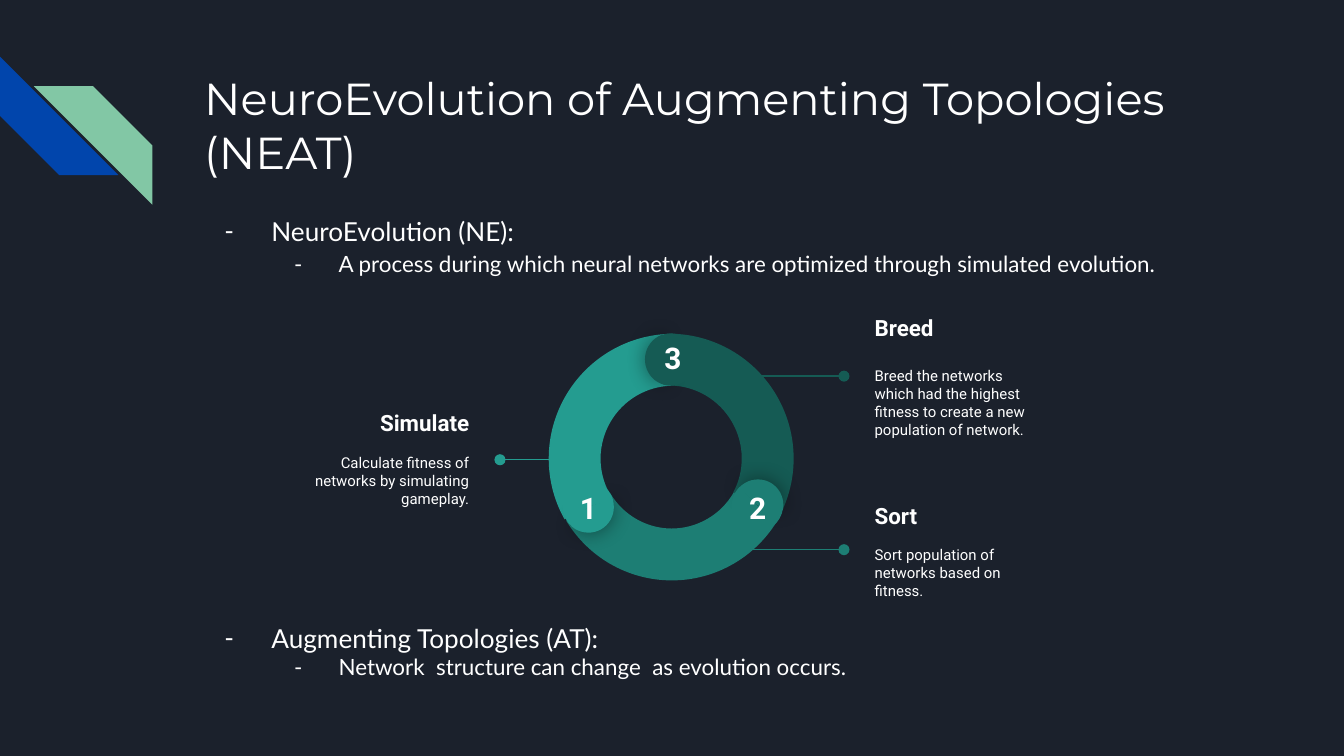
from dataclasses import dataclass

from lxml.etree import SubElement as Sub
from pptx import Presentation
from pptx.dml.color import RGBColor as Rgb
from pptx.enum.shapes import MSO_CONNECTOR as Wire, MSO_SHAPE as Form
from pptx.enum.text import MSO_ANCHOR as Anchor, MSO_AUTO_SIZE as Fit, PP_ALIGN as Align
from pptx.oxml.ns import qn
from pptx.util import Cm, Pt

WHITE = "FFFFFF"
INSET = 0.25
ARC = (126.2, 197.1, 0.21)
CAP_BACK = (61.9, 149.96)
CAP_FRONT = (40.28, 171.84)


@dataclass
class Box:
    x: float
    y: float
    w: float
    h: float

    def cm(self) -> tuple:
        return Cm(self.x), Cm(self.y), Cm(self.w), Cm(self.h)


@dataclass
class Stage:
    mark: str
    name: str
    text: str
    tint: str
    arc: Box
    turn: float
    cap: Box
    back: float
    front: float
    digit: tuple
    note: tuple
    line: tuple
    gap: float
    side: Align = Align.LEFT


@dataclass
class Point:
    y: float
    head: str
    sub: str
    space: float


STAGES = [
    Stage("3", "Breed",
          "Breed the networks which had the highest fitness to create a new population of network.",
          "155B54", Box(10.31, 6.32, 4.7, 4.67), 60, Box(12.19, 6.3, 0.97, 0.99), 0.7, 180,
          (12.29, 6.2), (16.28, 6.02), (13.77, 15.95, 7.11), 14),
    Stage("2", "Sort", "Sort population of networks based on fitness.",
          "1D7E74", Box(10.36, 6.27, 4.67, 4.7), 180, Box(13.82, 9.07, 0.99, 0.97), 120.7, 300,
          (13.89, 9.02), (16.28, 9.32), (13.77, 15.95, 10.39), 9.4),
    Stage("1", "Simulate", "Calculate fitness of networks by simulating gameplay.",
          "249C90", Box(10.36, 6.32, 4.7, 4.67), 300, Box(10.62, 9.09, 0.99, 0.97), 240.6, 60,
          (10.69, 9.02), (5.54, 7.57), (10.52, 9.45, 8.69), 9.4, Align.RIGHT),
]

POINTS = [
    Point(3.73, "NeuroEvolution (NE):",
          "A process during which neural networks are optimized through simulated evolution.", 1.15),
    Point(11.51, "Augmenting Topologies (AT):",
          "Network  structure can change  as evolution occurs.", 1.0),
]


def tone(code: str) -> Rgb:
    return Rgb.from_string(code)


def assign(item, values: dict) -> None:
    for key, value in values.items():
        setattr(item, key, value)


def frame(shape, anchor: Anchor = Anchor.TOP):
    body = shape.text_frame
    pad = {f"margin_{side}": Cm(INSET) for side in ("left", "right", "top", "bottom")}
    assign(body, {"word_wrap": True, "auto_size": Fit.NONE, "vertical_anchor": anchor, **pad})
    return body


def write(para, text: str, font: str, size: float, bold: bool = False, **style) -> None:
    run = para.add_run()
    run.text = text
    assign(run.font, {"name": font, "size": Pt(size), "bold": bold})
    run.font.color.rgb = tone(WHITE)
    assign(para, style)


def dash(para, left: float, hang: float) -> None:
    props = para._p.get_or_add_pPr()
    props.set("marL", str(Cm(left)))
    props.set("indent", str(Cm(-hang)))
    Sub(Sub(props, qn("a:buClr")), qn("a:srgbClr"), val=WHITE)
    Sub(props, qn("a:buFont"), typeface="Lato")
    Sub(props, qn("a:buChar"), char="-")


def draw(shapes, form: Form, box: Box, tint: str, turn: float, bends: tuple):
    shape = shapes.add_shape(form, *box.cm())
    shape.rotation = turn
    for i, bend in enumerate(bends):
        shape.adjustments[i] = bend
    shape.fill.solid()
    shape.fill.fore_color.rgb = tone(tint)
    shape.line.fill.background()
    shape.shadow.inherit = False
    return shape


def shade(shape) -> None:
    effects = shape._element.spPr.find(qn("a:effectLst"))
    glow = Sub(effects, qn("a:outerShdw"), blurRad=str(Pt(11.2)), dist="0", dir="0",
               algn="ctr", rotWithShape="0")
    Sub(Sub(glow, qn("a:srgbClr"), val="000000"), qn("a:alpha"), val="43000")


def link(shapes, stage: Stage) -> None:
    start, end, y = stage.line
    wire = shapes.add_connector(Wire.STRAIGHT, Cm(start), Cm(y), Cm(end), Cm(y))
    wire.line.color.rgb = tone(stage.tint)
    wire.line.width = Pt(0.75)
    props = wire._element.spPr
    Sub(props.find(qn("a:ln")), qn("a:tailEnd"), type="oval")
    Sub(props, qn("a:effectLst"))


def note(shapes, stage: Stage) -> None:
    body = frame(shapes.add_textbox(*Box(*stage.note, 3.58, 2.18).cm()), Anchor.MIDDLE)
    write(body.paragraphs[0], stage.name, "Roboto", 12, True, alignment=stage.side)
    write(body.add_paragraph(), stage.text, "Roboto", 8, alignment=stage.side,
          space_before=Pt(stage.gap), space_after=Pt(16))


def cap(shapes, stage: Stage) -> None:
    shade(draw(shapes, Form.PIE, stage.cap, stage.tint, stage.back, CAP_BACK))
    draw(shapes, Form.PIE, stage.cap, stage.tint, stage.front, CAP_FRONT)
    body = frame(shapes.add_textbox(*Box(*stage.digit, 0.86, 0.46).cm()))
    write(body.paragraphs[0], stage.mark, "Roboto", 16, True, alignment=Align.CENTER)


def bullet(shapes, point: Point) -> None:
    body = frame(shapes.add_textbox(*Box(3.61, point.y, 19.56, 1.6).cm()))
    head, sub = body.paragraphs[0], body.add_paragraph()
    write(head, point.head, "Lato", 14, line_spacing=point.space)
    write(sub, point.sub, "Lato", 12, line_spacing=point.space, level=1)
    dash(head, 1.27, 0.89)
    dash(sub, 2.54, 0.84)


def label(title) -> None:
    spots = Box(3.61, 1.09, 19.56, 2.54).cm()
    assign(title, dict(zip(("left", "top", "width", "height"), spots)))
    write(frame(title).paragraphs[0], "NeuroEvolution of Augmenting Topologies (NEAT)",
          "Montserrat", 24, alignment=Align.LEFT)


def main() -> None:
    deck = Presentation()
    assign(deck, {"slide_width": Cm(25.4), "slide_height": Cm(14.29)})
    slide = deck.slides.add_slide(deck.slide_layouts[5])
    slide.background.fill.solid()
    slide.background.fill.fore_color.rgb = tone("1B212C")
    shapes = slide.shapes
    label(shapes.title)
    draw(shapes, Form.DIAGONAL_STRIPE, Box(0, 1.07, 2.24, 2.24), "0145AC", 270, (0.5,))
    green = draw(shapes, Form.DIAGONAL_STRIPE, Box(0.64, 1.63, 2.24, 2.24), "82C7A5", 0, (0.5,))
    green._element.spPr.xfrm.set("flipH", "1")
    for point in POINTS:
        bullet(shapes, point)
    for stage in STAGES:
        note(shapes, stage)
        link(shapes, stage)
    for stage in STAGES:
        draw(shapes, Form.BLOCK_ARC, stage.arc, stage.tint, stage.turn, ARC)
    for stage in STAGES:
        cap(shapes, stage)
    deck.save("out.pptx")


if __name__ == "__main__":
    main()
